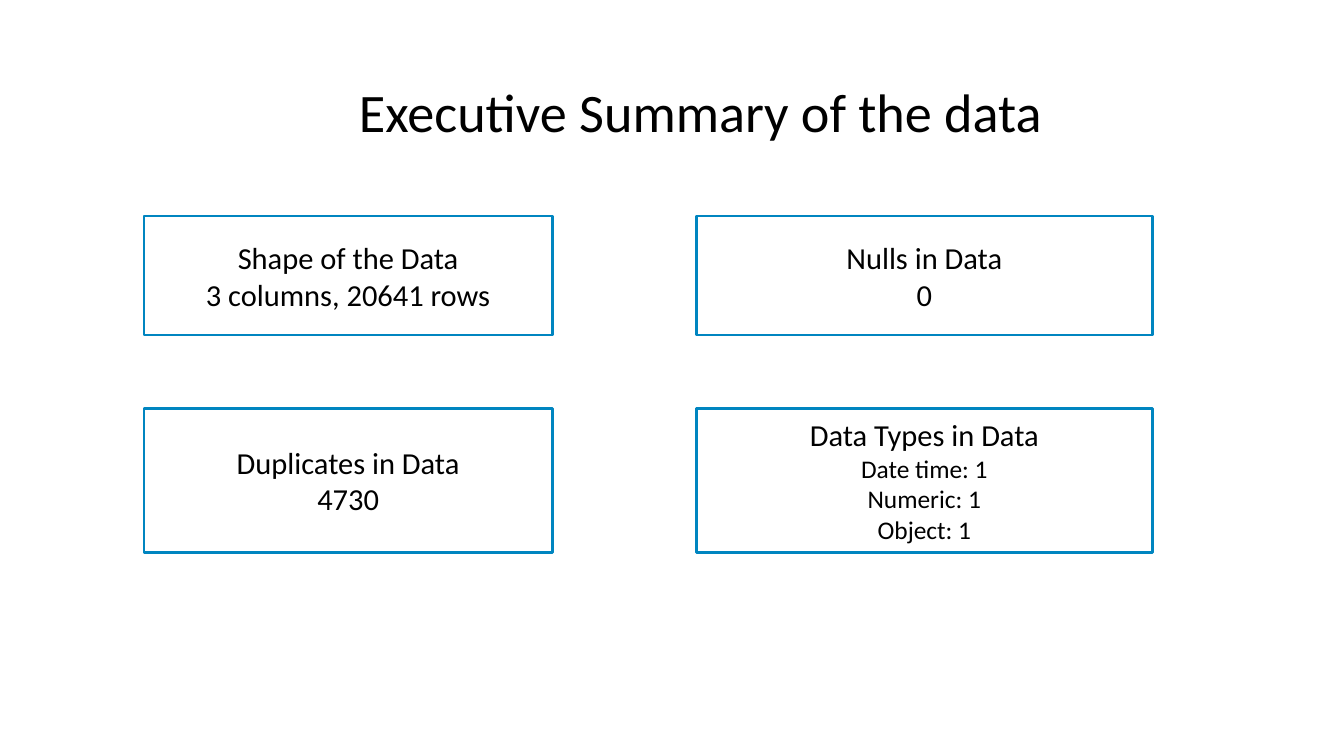
import dataclasses

import pptx
import pptx.dml.color
import pptx.enum.shapes
import pptx.enum.text
import pptx.util

Inches = pptx.util.Inches
Pt = pptx.util.Pt
Color = pptx.dml.color.RGBColor.from_string


@dataclasses.dataclass(frozen=True)
class Theme:
    """Fonts, colours and type sizes."""
    font: str = "Calibri"
    ink: str = "000000"
    paper: str = "FFFFFF"
    edge: str = "0085C0"
    title: float = 32
    body: float = 18
    small: float = 15
    rule: float = 1.42


class Deck:
    """Style and current slide, with a method for each kind of element."""

    def __init__(self, theme, slide):
        self.theme = theme
        self.slide = slide

    def label(self, frame, lines, margins, **spacing):
        """Fill a frame with centred (text, size) lines."""
        left, top, right, bottom = map(Inches, margins)
        form = {"margin_left": left, "margin_top": top,
                "margin_right": right, "margin_bottom": bottom,
                "vertical_anchor": pptx.enum.text.MSO_ANCHOR.MIDDLE}
        for name, value in form.items():
            setattr(frame, name, value)
        for index, (text, size) in enumerate(lines):
            para = frame.add_paragraph() if index else frame.paragraphs[0]
            for name, value in spacing.items():
                setattr(para, name, value)
            para.alignment = pptx.enum.text.PP_ALIGN.CENTER
            run = para.add_run()
            run.text = text
            for name, value in {"name": self.theme.font, "size": Pt(size)}.items():
                setattr(run.font, name, value)
            run.font.color.rgb = Color(self.theme.ink)

    def title(self, text, area):
        """Add the heading."""
        frame = self.slide.shapes.add_textbox(*map(Inches, area)).text_frame
        frame.word_wrap = True
        self.label(frame, [(text, self.theme.title)], (0.47, 0, 0, 0),
                   space_after=Pt(10.6))

    def card(self, head, facts, size, area):
        """Add an outlined box with a heading and its facts."""
        kind = pptx.enum.shapes.MSO_SHAPE.RECTANGLE
        box = self.slide.shapes.add_shape(kind, *map(Inches, area))
        box.shadow.inherit = False
        box.fill.solid()
        box.fill.fore_color.rgb = Color(self.theme.paper)
        box.line.color.rgb = Color(self.theme.edge)
        box.line.width = Pt(self.theme.rule)
        box.text_frame.word_wrap = False
        lines = [(head, self.theme.body)] + [(fact, size) for fact in facts]
        self.label(box.text_frame, lines, (0.1, 0.05, 0.1, 0.05))


def main():
    """Build the summary slide."""
    show = pptx.Presentation()
    show.slide_width, show.slide_height = Inches(11.02), Inches(6.2)
    theme = Theme()
    deck = Deck(theme, show.slides.add_slide(show.slide_layouts[6]))
    deck.title("Executive Summary of the data", (0.55, 0.39, 9.92, 1.04))

    cols = [(1.18, 3.35), (5.71, 3.74)]
    rows = [(1.77, 0.98), (3.35, 1.18)]
    cards = [
        ("Shape of the Data", ["3 columns, 20641 rows"], theme.body),
        ("Nulls in Data", ["0"], theme.body),
        ("Duplicates in Data", ["4730"], theme.body),
        ("Data Types in Data",
         ["Date time: 1", "Numeric: 1", "Object: 1"], theme.small),
    ]
    for index, (head, facts, size) in enumerate(cards):
        left, width = cols[index % 2]
        top, height = rows[index // 2]
        deck.card(head, facts, size, (left, top, width, height))
    show.save("out.pptx")


if __name__ == "__main__":
    main()
